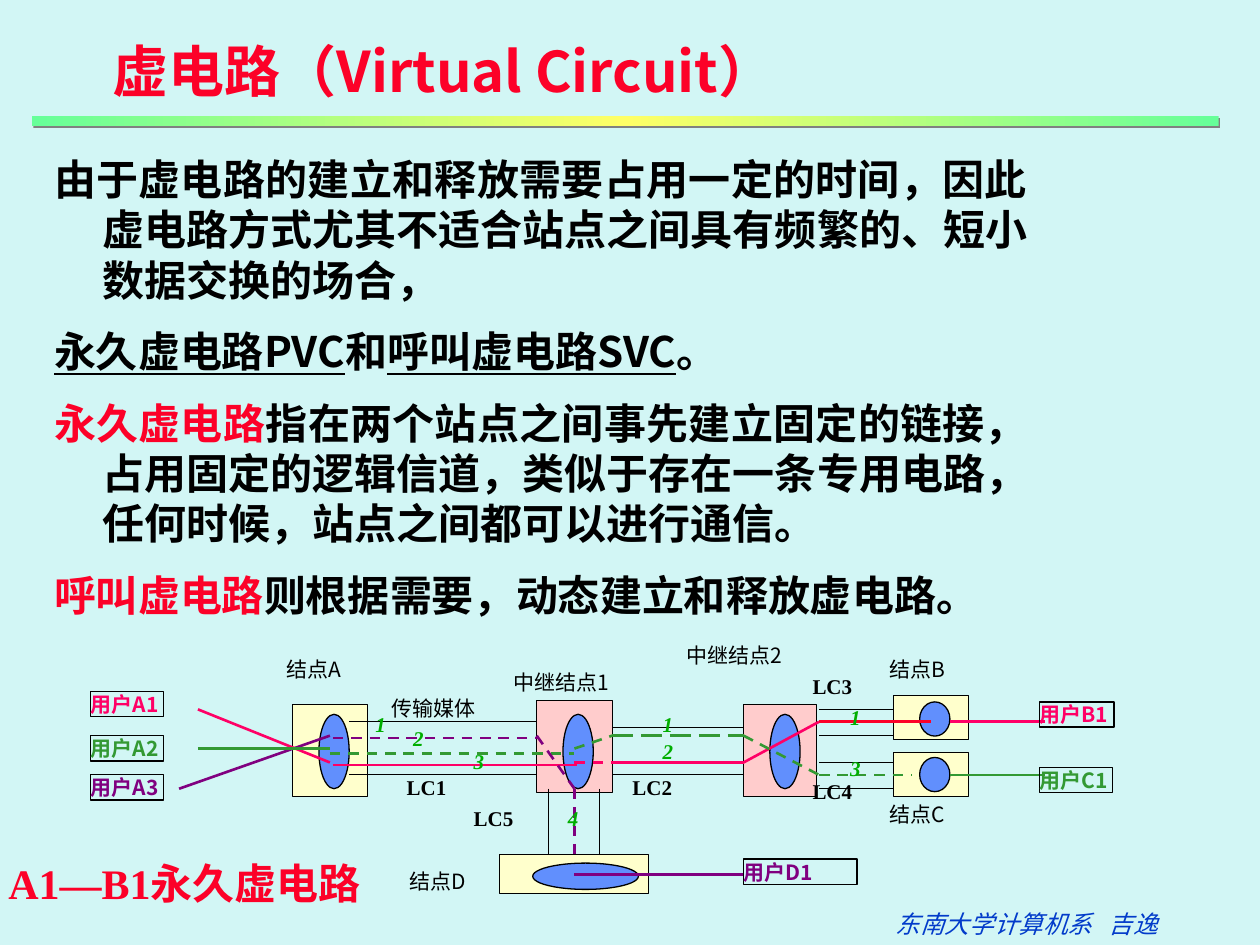
from lxml.etree import SubElement
from pptx import Presentation
from pptx.dml.color import RGBColor
from pptx.enum.dml import MSO_LINE
from pptx.enum.shapes import MSO_CONNECTOR, MSO_SHAPE
from pptx.enum.text import MSO_ANCHOR, MSO_AUTO_SIZE, PP_ALIGN
from pptx.oxml import parse_xml
from pptx.oxml.ns import nsdecls, qn
from pptx.util import Cm, Pt

BLACK = RGBColor(0x00, 0x00, 0x00)
RED = RGBColor(0xFC, 0x01, 0x28)
PINK = RGBColor(0xFF, 0x00, 0x66)
GREEN = RGBColor(0x33, 0x99, 0x33)
PURPLE = RGBColor(0x80, 0x00, 0x80)
NUMBER_GREEN = RGBColor(0x00, 0xAE, 0x00)
FOOTER_BLUE = RGBColor(0x02, 0x3B, 0xCA)
OVAL_BLUE = RGBColor(0x61, 0x8F, 0xFD)
STATION = RGBColor(0xFF, 0xFF, 0xCC)
RELAY = RGBColor(0xFF, 0xCC, 0xCC)
BACKGROUND = RGBColor(0xD2, 0xF6, 0xF5)
SANS = "Noto Sans CJK SC"
SERIF = "Times New Roman"
DASH = MSO_LINE.DASH
LONG_DASH = MSO_LINE.LONG_DASH

PARAGRAPHS = [
    [("由于虚电路的建立和释放需要占用一定的时间，因此虚电路方式尤其不适合站点之间具有频繁的、短小数据交换的场合，", BLACK, False)],
    [("永久虚电路PVC", BLACK, True), ("和", BLACK, False),
     ("呼叫虚电路SVC", BLACK, True), ("。", BLACK, False)],
    [("永久虚电路", RED, False),
     ("指在两个站点之间事先建立固定的链接，占用固定的逻辑信道，类似于存在一条专用电路，任何时候，站点之间都可以进行通信。", BLACK, False)],
    [("呼叫虚电路", RED, False), ("则根据需要，动态建立和释放虚电路。", BLACK, False)],
]

NODES = [
    (STATION, (5.89, 14.2, 1.52, 1.85), (6.43, 14.4, 0.61, 1.5)),
    (RELAY, (10.82, 14.12, 1.52, 1.85), (11.35, 14.4, 0.61, 1.5)),
    (RELAY, (14.99, 14.2, 1.47, 1.85), (15.52, 14.4, 0.61, 1.5)),
    (STATION, (10.06, 17.22, 3.02, 0.79), (10.74, 17.4, 2.13, 0.53)),
    (STATION, (18.01, 14.02, 1.52, 0.89), (18.54, 14.15, 0.61, 0.69)),
    (STATION, (18.01, 15.16, 1.52, 0.89), (18.54, 15.27, 0.61, 0.69)),
]

MEDIA = [
    (7.04, 14.55, 10.82, 14.55), (7.04, 15.62, 10.82, 15.62),
    (12.34, 14.66, 14.99, 14.66), (12.34, 15.62, 14.99, 15.62),
    *[(16.51, y, 18.01, y) for y in (14.3, 14.83, 15.37, 15.9)],
    *[(x, 15.9, x, 17.22) for x in (11.05, 12.09)],
]

CIRCUITS = [
    (PINK, None, (3.99, 14.3, 6.65, 15.37)),
    (GREEN, DASH, (6.65, 15.19, 11.58, 15.19)),
    (PINK, None, (6.71, 15.42, 11.63, 15.42)),
    (PURPLE, None, (3.61, 15.9, 6.65, 14.83)),
    (GREEN, None, (3.99, 15.09, 6.65, 15.09)),
    (GREEN, LONG_DASH, (12.34, 14.83, 14.99, 14.83)),
    (GREEN, DASH, (11.58, 15.09, 12.34, 14.83)),
    (PURPLE, DASH, (11.58, 15.9, 11.58, 17.22)),
    (PINK, None, (12.34, 15.37, 14.99, 15.37)),
    (PINK, DASH, (11.58, 15.37, 12.34, 15.37)),
    (PURPLE, None, (11.58, 17.63, 14.99, 17.63)),
    (PURPLE, DASH, (6.71, 14.88, 10.87, 14.88)),
    (PURPLE, DASH, (10.82, 14.83, 11.58, 15.9)),
    (PINK, None, (14.99, 15.37, 16.51, 14.55)),
    (GREEN, DASH, (14.99, 14.83, 16.51, 15.62)),
    (GREEN, DASH, (16.51, 15.62, 18.39, 15.62)),
    (RED, None, (16.51, 14.55, 18.77, 14.55)),
    (PINK, None, (19.15, 14.55, 21.06, 14.55)),
    (GREEN, None, (19.15, 15.62, 21.06, 15.62)),
]

USERS = [
    ("用户A1", PINK, 1.83, 13.94, 1.47), ("用户A2", GREEN, 1.83, 14.83, 1.47),
    ("用户A3", PURPLE, 1.83, 15.62, 1.47), ("用户B1", PINK, 20.96, 14.15, 1.5),
    ("用户C1", GREEN, 20.96, 15.47, 1.47), ("用户D1", PURPLE, 14.99, 17.32, 2.29),
]

NODE_NAMES = [
    ("结点A", 5.77, 13.23, 1.22), ("中继结点1", 10.36, 13.49, 2.03),
    ("传输媒体", 7.9, 14.02, 1.7), ("中继结点2", 13.84, 12.95, 2.84),
    ("结点B", 17.93, 13.23, 1.22), ("结点C", 17.93, 16.15, 1.22),
    ("结点D", 8.26, 17.5, 1.24),
]

CHANNEL_NUMBERS = [
    ("1", 7.32, 14.22), ("2", 8.08, 14.5), ("3", 9.3, 14.96), ("1", 13.11, 14.22),
    ("2", 13.11, 14.76), ("1", 16.89, 14.07), ("3", 16.89, 15.11), ("4", 11.2, 16.1),
]

CHANNEL_NAMES = [
    ("LC1", 7.95, 15.49), ("LC2", 12.5, 15.49), ("LC3", 16.13, 13.44),
    ("LC4", 16.13, 15.57), ("LC5", 9.3, 16.1),
]


class SlideBuilder:
    def __init__(self, slide):
        self.slide = slide
        self.shapes = slide.shapes
        slide.background.fill.solid()
        slide.background.fill.fore_color.rgb = BACKGROUND

    def style(self, span, size, color, font=SANS, bold=False, italic=False, underline=False):
        span.font.size = Pt(size)
        span.font.name = font
        span.font.bold = bold
        span.font.italic = italic
        span.font.underline = underline
        span.font.color.rgb = color
        SubElement(span.font._element, qn("a:ea")).set("typeface", SANS)

    def fill_text(self, box, text, size, color, inset=True, wrap=False, **look):
        frame = box.text_frame
        frame.text = text
        frame.word_wrap = wrap
        frame.auto_size = MSO_AUTO_SIZE.NONE
        frame.vertical_anchor = MSO_ANCHOR.TOP
        frame.margin_left = frame.margin_right = Cm(0.25 if inset else 0)
        frame.margin_top = frame.margin_bottom = Cm(0.13 if inset else 0)
        para = frame.paragraphs[0]
        para.alignment = PP_ALIGN.LEFT
        self.style(para.runs[0], size, color, **look)

    def title(self, text, place):
        box = self.shapes.title
        box.left, box.top, box.width, box.height = map(Cm, place)
        self.fill_text(box, text, 32, RED, bold=True)

    def text(self, text, place, size, color, **look):
        box = self.shapes.add_textbox(*map(Cm, place))
        self.fill_text(box, text, size, color, **look)

    def body(self, paragraphs, place):
        frame = self.shapes.add_textbox(*map(Cm, place)).text_frame
        frame.word_wrap = True
        for index, parts in enumerate(paragraphs):
            para = frame.add_paragraph() if index else frame.paragraphs[0]
            para.alignment = PP_ALIGN.JUSTIFY
            para.space_before = Pt(6 if index else 0)
            para.space_after = Pt(6)
            properties = para._p.get_or_add_pPr()
            properties.set("marL", str(Cm(0.97)))
            properties.set("indent", str(Cm(-0.97)))
            for text, color, underline in parts:
                span = para.add_run()
                span.text = text
                self.style(span, 24, color, bold=True, underline=underline)

    def shape(self, kind, place, fill=None, line_width=0.75):
        shape = self.shapes.add_shape(kind, *map(Cm, place))
        shape.shadow.inherit = False
        if fill is None:
            shape.fill.background()
        else:
            shape.fill.solid()
            shape.fill.fore_color.rgb = fill
        shape.line.color.rgb = BLACK
        shape.line.width = Pt(line_width)
        return shape

    def node(self, fill, place, oval):
        self.shape(MSO_SHAPE.RECTANGLE, place, fill, 0.5)
        self.shape(MSO_SHAPE.OVAL, oval, OVAL_BLUE)

    def user(self, text, color, left, top, width):
        box = self.shape(MSO_SHAPE.RECTANGLE, (left, top, width, 0.51))
        self.fill_text(box, text, 12, color, inset=False, bold=True)

    def line(self, ends, color, width, dash=None):
        line = self.shapes.add_connector(MSO_CONNECTOR.STRAIGHT, *map(Cm, ends))
        line.line.color.rgb = color
        line.line.width = Pt(width)
        if dash is not None:
            line.line.dash_style = dash
        SubElement(line._element.spPr, qn("a:effectLst"))

    def gradient_bar(self, place):
        bar = self.shapes.add_shape(MSO_SHAPE.RECTANGLE, *map(Cm, place))
        bar.line.fill.background()
        bar.fill.gradient()
        bar.fill.gradient_angle = 0
        stops = bar._element.spPr.find(qn("a:gradFill")).find(qn("a:gsLst"))
        for stop in list(stops):
            stops.remove(stop)
        for position, color in ((0, "66FF99"), (50000, "FFFF66"), (100000, "66FF99")):
            stop = SubElement(stops, qn("a:gs"), pos=str(position))
            SubElement(stop, qn("a:srgbClr"), val=color)
        bar._element.spPr.append(parse_xml(
            f'<a:effectLst {nsdecls("a")}><a:outerShdw dist="17780" dir="2700000">'
            '<a:srgbClr val="808080"/></a:outerShdw></a:effectLst>'))


def main():
    deck = Presentation()
    deck.slide_width, deck.slide_height = Cm(25.4), Cm(19.05)
    page = SlideBuilder(deck.slides.add_slide(deck.slide_layouts[5]))
    page.title("虚电路（Virtual Circuit）", (2.01, 0.61, 14.43, 1.63))
    page.gradient_bar((0.64, 2.34, 23.93, 0.2))
    page.body(PARAGRAPHS, (0.84, 2.97, 20.12, 9.96))
    for node in NODES:
        page.node(*node)
    for ends in MEDIA:
        page.line(ends, BLACK, 0.75)
    for color, dash, ends in CIRCUITS:
        page.line(ends, color, 1.5, dash)
    for user in USERS:
        page.user(*user)
    for text, left, top, width in NODE_NAMES:
        page.text(text, (left, top, width, 0.51), 12, BLACK, inset=False)
    for text, left, top in CHANNEL_NUMBERS:
        page.text(text, (left, top, 0.71, 0.76), 12, NUMBER_GREEN, font=SERIF, bold=True, italic=True)
    for text, left, top in CHANNEL_NAMES:
        page.text(text, (left, top, 1.3, 0.76), 12, BLACK, font=SERIF, bold=True)
    page.text("A1—B1永久虚电路", (-0.08, 17.15, 7.8, 1.27), 24, RED, font=SERIF, bold=True)
    page.text("东南大学计算机系   吉逸", (17.81, 18.19, 5.79, 0.86), 14, FOOTER_BLUE, font=SERIF, italic=True)
    deck.save("out.pptx")


if __name__ == "__main__":
    main()
